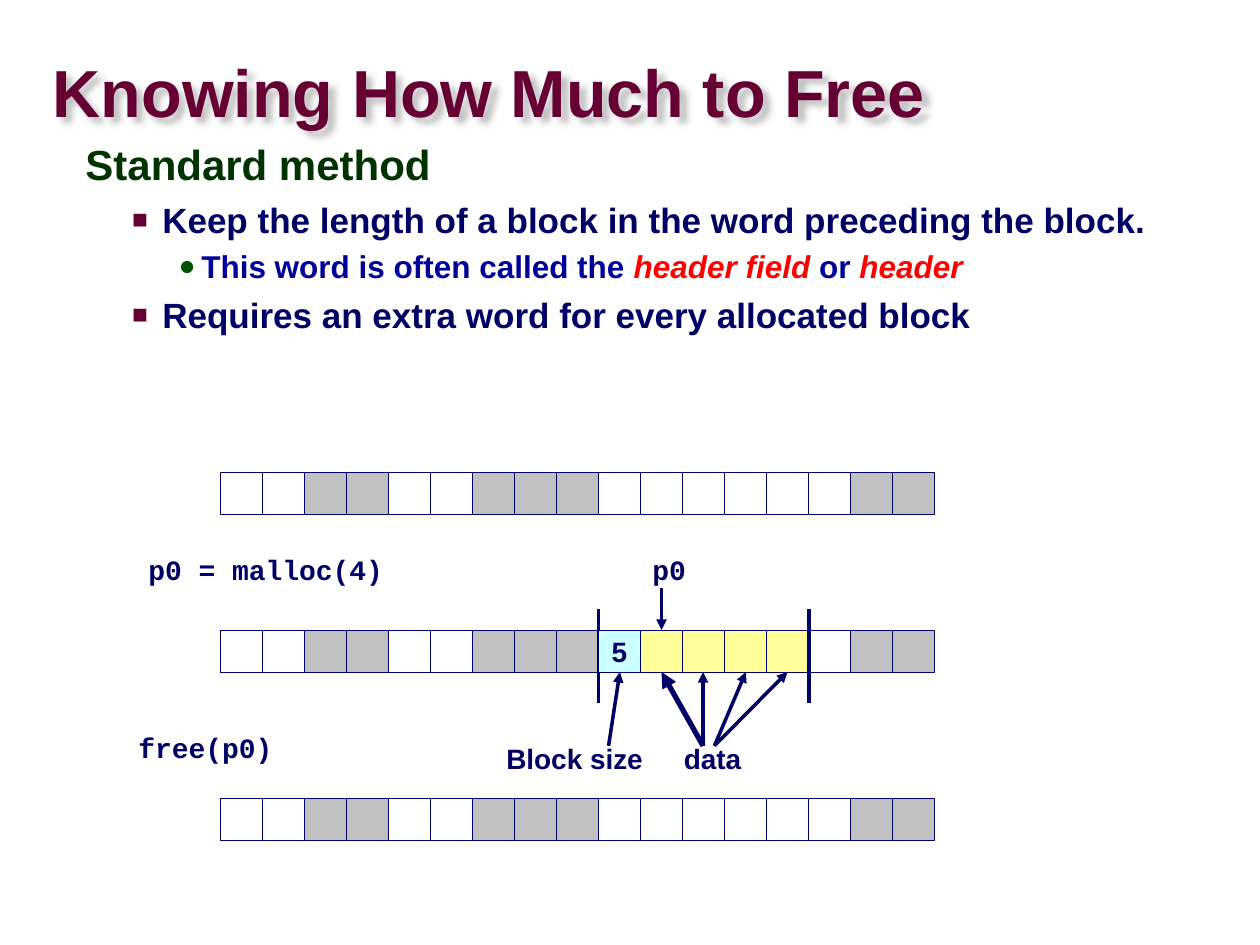
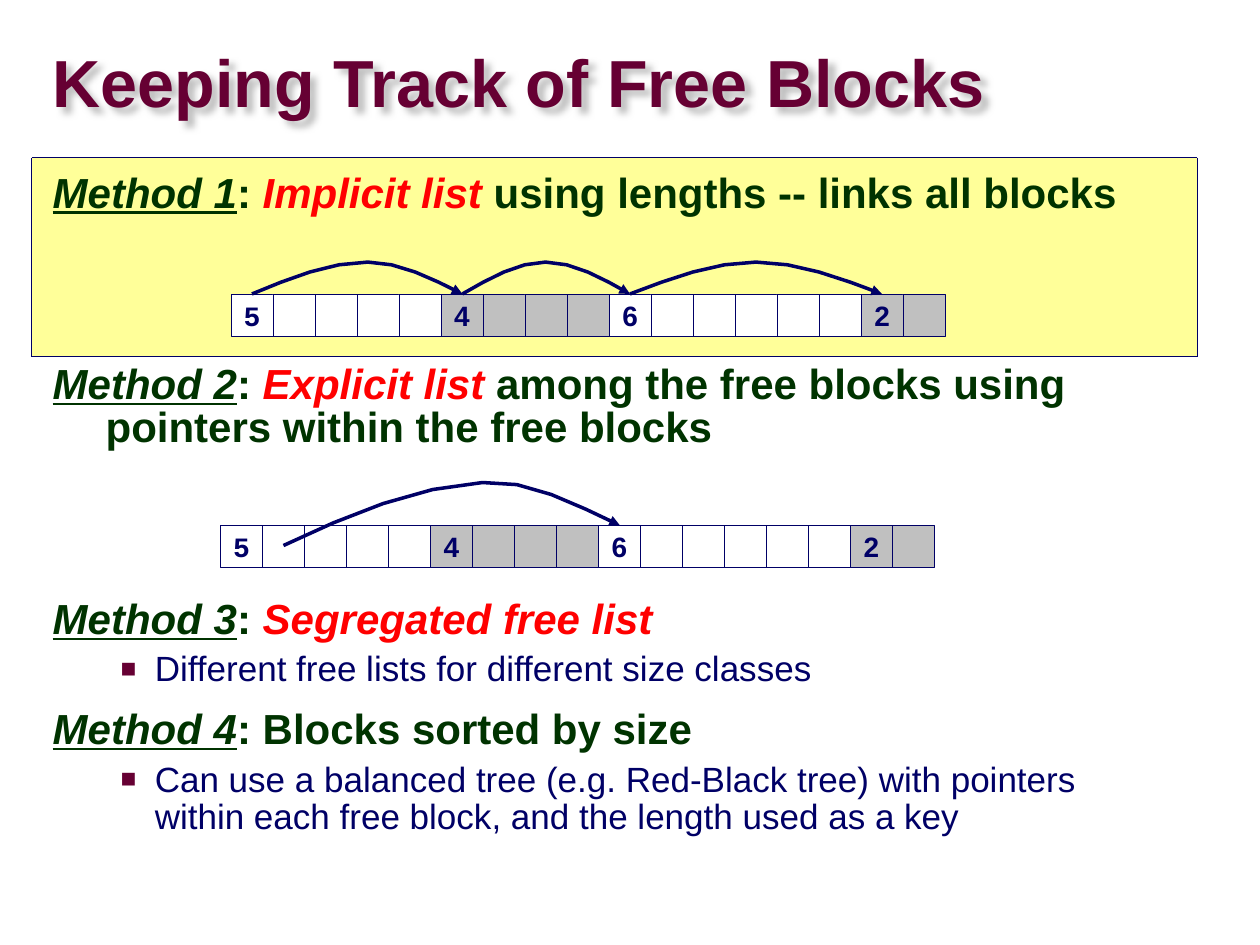
from lxml import etree
from pptx import Presentation
from pptx import util as u
from pptx.dml import color
from pptx.enum import dml, shapes, text
from pptx.oxml import ns

INK = {"title": "660033", "head": "003300", "navy": "000066", "blue": "000099",
       "red": "FF0000", "dot": "005400", "white": "FFFFFF", "grey": "C0C0C0",
       "yellow": "FFFF99", "cyan": "CCFFFF"}
FILL = {"w": "white", "g": "grey", "y": "yellow"}
SANS, MONO = "Arial", "Courier New"
UNIT = 1 / 3
STEPS = 4
MARK = {0: None, 1: ("■", "title", 75), 2: ("●", "dot", 90)}
SIZE = {0: 24, 1: 20, 2: 18}


def rgb(name):
    return color.RGBColor.from_string(INK[name])


def add(parent, tag, **attrs):
    node = etree.SubElement(parent, ns.qn("a:" + tag))
    for key, value in attrs.items():
        node.set(key, str(value))
    return node


class Deck:
    def __init__(self):
        self.prs = Presentation()
        self.prs.slide_width = u.Inches(10)
        self.prs.slide_height = u.Inches(7.5)
        self.page = None

    def start(self):
        self.page = self.prs.slides.add_slide(self.prs.slide_layouts[6])

    def style(self, run, size, ink, face=SANS, looks="b"):
        font = run.font
        font.name, font.size = face, u.Pt(size)
        font.color.rgb = rgb(ink)
        font.bold = "b" in looks
        font.italic = "i" in looks
        font.underline = "u" in looks

    def box(self, x, y, w, h):
        return self.page.shapes.add_textbox(*map(u.Inches, (x, y, w, h)))

    def title(self, words, y, w):
        box = self.box(0.42, y, w, 0.63)
        frame = box.text_frame
        frame.word_wrap = True
        frame.vertical_anchor = text.MSO_ANCHOR.MIDDLE
        frame.margin_left = frame.margin_right = 0
        frame.margin_top = frame.margin_bottom = 0
        frame.text = words
        frame.paragraphs[0].line_spacing = 0.87
        self.style(frame.paragraphs[0].runs[0], 38, "title")
        glow = add(add(box._element.spPr, "effectLst"), "outerShdw",
                   blurRad=u.Inches(0.05), dist=u.Inches(0.06), dir=2700000)
        add(glow, "srgbClr", val=INK["grey"])

    def body(self, x, y, w, h, items, dents):
        frame = self.box(x, y, w, h).text_frame
        frame.word_wrap = True
        for i, (level, lead, gap, runs) in enumerate(items):
            para = frame.add_paragraph() if i else frame.paragraphs[0]
            para.line_spacing = lead
            para.space_before = u.Pt(gap)
            self.dent(para, level, *dents[level])
            for words, ink, looks in runs:
                run = para.add_run()
                run.text = words
                self.style(run, SIZE[level], ink, looks=looks)

    def dent(self, para, level, left, hang):
        props = para._p.get_or_add_pPr()
        props.set("marL", str(u.Inches(left)))
        props.set("indent", str(-u.Inches(hang)))
        if MARK[level]:
            sign, ink, size = MARK[level]
            add(add(props, "buClr"), "srgbClr", val=INK[ink])
            add(props, "buSzPct", val=size * 1000)
            add(props, "buFont", typeface=SANS)
            add(props, "buChar", char=sign)
        else:
            add(props, "buNone")

    def label(self, words, x, y, w, face=SANS):
        frame = self.box(x, y, w, 0.37).text_frame
        frame.word_wrap = False
        frame.auto_size = text.MSO_AUTO_SIZE.SHAPE_TO_FIT_TEXT
        frame.text = words
        self.style(frame.paragraphs[0].runs[0], 16, "navy", face)

    def rect(self, x, y, w, h, ink):
        item = self.page.shapes.add_shape(shapes.MSO_SHAPE.RECTANGLE,
                                          *map(u.Inches, (x, y, w, h)))
        item.shadow.inherit = False
        item.fill.solid()
        item.fill.fore_color.rgb = rgb(ink)
        item.line.color.rgb = rgb("navy")
        item.line.width = u.Pt(0.25)
        return item

    def cell(self, x, y, ink, words="", face=SANS):
        item = self.rect(x, y, UNIT, UNIT, ink)
        if words:
            frame = item.text_frame
            frame.word_wrap = False
            frame.vertical_anchor = text.MSO_ANCHOR.MIDDLE
            frame.text = words
            frame.paragraphs[0].alignment = text.PP_ALIGN.CENTER
            self.style(frame.paragraphs[0].runs[0], 16, "navy", face)

    def row(self, x, y, plan, marks={}):
        for i, code in enumerate(plan):
            if code in FILL:
                self.cell(x + i * UNIT, y, FILL[code], *marks.get(i, ()))

    def stroke(self, item, width, tip):
        item.line.color.rgb = rgb("navy")
        item.line.width = u.Pt(width)
        if tip:
            add(item.line._get_or_add_ln(), "tailEnd", type="triangle")

    def line(self, x0, y0, x1, y1, width=2, tip=True):
        item = self.page.shapes.add_connector(
            shapes.MSO_CONNECTOR.STRAIGHT, *map(u.Inches, (x0, y0, x1, y1)))
        self.stroke(item, width, tip)
        add(item._element.spPr, "effectLst")

    def arc(self, x0, y0, x1, y1, mid, top, lean=0):
        rise = [(x0, y0), (x0 + (mid - x0) / 3, (y0 + top) / 2),
                (mid - (mid - x0) / 3, top + lean), (mid, top)]
        fall = [(mid, top), (mid + (x1 - mid) / 3, top - lean),
                (x1 - (x1 - mid) / 3, (y1 + top) / 2), (x1, y1)]
        dots = []
        for curve in (rise, fall):
            for step in range(1, STEPS + 1):
                t = step / STEPS
                pull = ((1 - t) ** 3, 3 * t * (1 - t) ** 2,
                        3 * t * t * (1 - t), t ** 3)
                dots.append(tuple(
                    u.Inches(sum(k * p[axis] for k, p in zip(pull, curve)))
                    for axis in (0, 1)))
        path = self.page.shapes.build_freeform(u.Inches(x0), u.Inches(y0))
        path.add_line_segments(dots, close=False)
        item = path.convert_to_shape()
        item.shadow.inherit = False
        item.fill.background()
        self.stroke(item, 2, True)


def method(number, *rest):
    return [(f"Method {number}", "head", "biu"), (": ", "head", "b"), *rest]


deck = Deck()

deck.start()
deck.title("Knowing How Much to Free", 0.45, 7.85)
deck.body(0.58, 1.08, 9.03, 2.17, [
    (0, 0.95, 0, [("Standard method", "head", "b")]),
    (1, 1.0, 5, [("Keep the length of a block in the word preceding the block.",
                  "navy", "b")]),
    (2, 1.07, 1.8, [("This word is often called the ", "blue", "b"),
                    ("header field", "red", "bi"), (" or ", "blue", "b"),
                    ("header", "red", "bi")]),
    (1, 1.0, 5, [("Requires an extra word for every allocated block",
                  "navy", "b")]),
], {0: (0.24, 0.24), 1: (0.61, 0.24), 2: (0.92, 0.18)})
deck.label("free(p0)", 1, 5.75, 1.27, MONO)
deck.label("p0 = malloc(4)", 1.08, 4 + UNIT, 2.07, MONO)
deck.label("p0", 5.08, 4 + UNIT, 0.47, MONO)
deck.label("Block size", 3.92, 5.84, 1.29)
deck.label("data", 5.33, 5.84, 0.66)
LEFT = 1.75
for top in (3.75, 6 + UNIT):
    deck.row(LEFT, top, "wwggwwgggwwwwwwgg")
deck.row(LEFT, 5, "wwggwwggg-yyyywgg")
for x in (4.75, 6.42):
    deck.line(x, 4.83, x, 5.58, 2.25, False)
deck.cell(LEFT + 9 * UNIT, 5, "cyan", "5")
for start, end, width in ((4.83, 4.92, 2), (5.58, 5.25, 3), (5.67, 6.25, 2),
                          (5.58, 5.58, 2), (5.67, 5.92, 2)):
    deck.line(start, 5.92, end, 5 + UNIT, width)
deck.line(5.25, 4.67, 5.25, 5)

deck.start()
panel = deck.rect(0.25, 1.25, 9.25, 1.58, "yellow")
panel.line.dash_style = dml.MSO_LINE.ROUND_DOT
deck.title("Keeping Track of Free Blocks", 0.37, 8)
deck.body(0.32, 1.33, 9.09, 5.71, [
    (0, 0.85, 0, method(1, ("Implicit list", "red", "bi"),
                        (" using lengths -- links all blocks", "head", "b"))),
    (0, 0.85, 85, method(2, ("Explicit list", "red", "bi"),
                         (" among the free blocks using pointers within "
                          "the free blocks", "head", "b"))),
    (0, 0.85, 85, method(3, ("Segregated free list", "red", "bi"))),
    (1, 0.9, 5, [("Different free lists for different size classes",
                  "navy", "")]),
    (0, 0.85, 12, method(4, ("Blocks sorted by size", "head", "b"))),
    (1, 0.9, 5, [("Can use a balanced tree (e.g. Red-Black tree) with pointers "
                  "within each free block, and the length used as a key",
                  "navy", "")]),
], {0: (0.42, 0.42), 1: (0.81, 0.27)})
MARKS = {0: ("5", MONO), 5: ("4",), 9: ("6",), 15: ("2",)}
for x, y in ((1.5 + UNIT, 2 + UNIT), (LEFT, 4.17)):
    deck.row(x, y, "wwwwwggggwwwwwwgg", MARKS)
deck.arc(2.25, 4.33, 4.92, 4.17, 3.83, 3.83, 0.03)
for start, end, mid in ((2, 3.67, 2.92), (3.67, 5, 4.33), (5, 7, 6)):
    deck.arc(start, 2 + UNIT, end, 2 + UNIT, mid, 2.08)

deck.prs.save("out.pptx")
